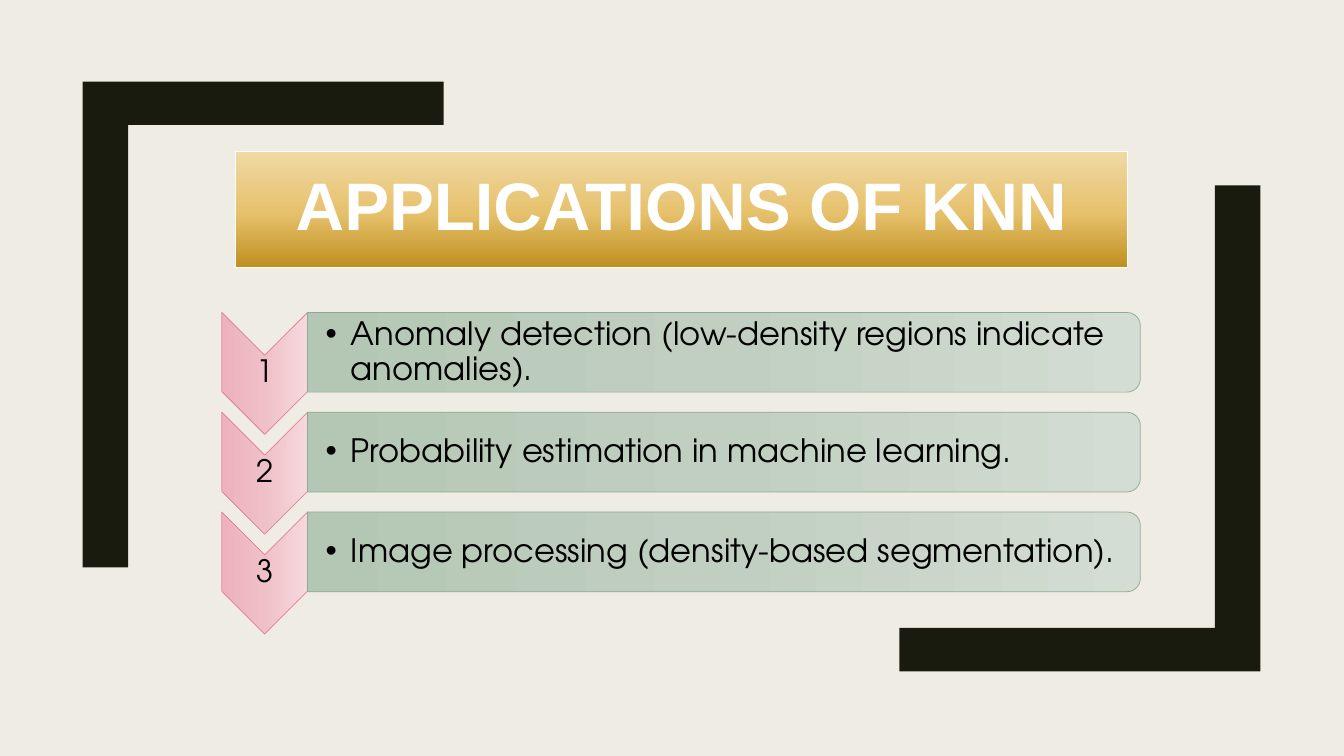
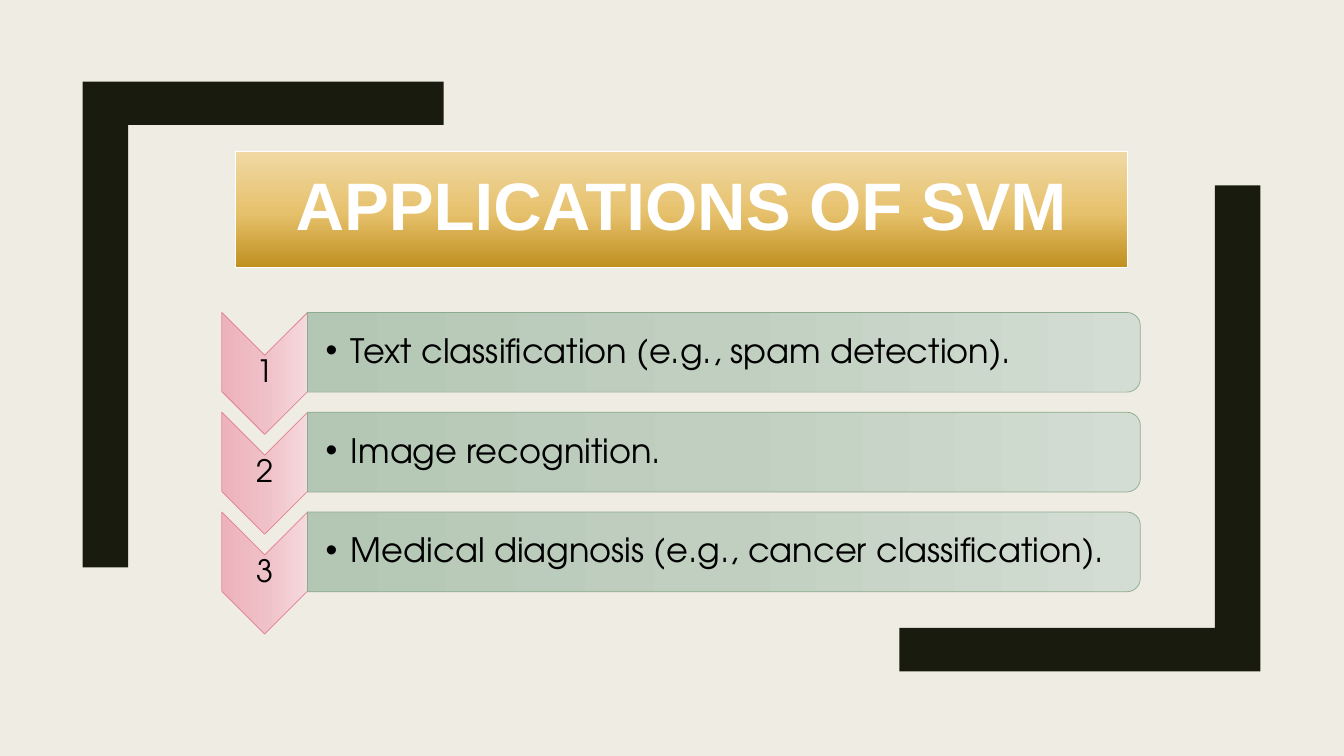
from copy import deepcopy

from lxml.etree import SubElement
from pptx import Presentation
from pptx.dml.color import RGBColor
from pptx.enum.shapes import MSO_SHAPE as SHAPE
from pptx.enum.text import MSO_ANCHOR as ANCHOR, MSO_AUTO_SIZE as AUTOSIZE, PP_ALIGN as ALIGN
from pptx.oxml.ns import qn
from pptx.util import Inches, Pt

PAPER = RGBColor(0xEF, 0xED, 0xE3)
INK = RGBColor(0x19, 0x1B, 0x0E)
WHITE = RGBColor(0xFF, 0xFF, 0xFF)
BLACK = RGBColor(0x00, 0x00, 0x00)
ROSE_LINE = RGBColor(0xE2, 0x83, 0x94)
SAGE_LINE = RGBColor(0x8D, 0xAB, 0x8E)
GOLD = [(0, RGBColor(0xC0, 0x90, 0x20)), (0.48, RGBColor(0xE7, 0xC2, 0x6E)),
        (1, RGBColor(0xF0, 0xD9, 0xA5))]
ROSE = [(0, RGBColor(0xF6, 0xD9, 0xDD)), (0.5, RGBColor(0xEF, 0xC0, 0xC7)),
        (1, RGBColor(0xEE, 0xB2, 0xBB))]
SAGE = [(0, RGBColor(0xD3, 0xDD, 0xD3)), (0.5, RGBColor(0xC0, 0xCF, 0xC0)),
        (1, RGBColor(0xB4, 0xC7, 0xB5))]

TITLE_FONT, LIST_FONT = "Arial", "TeX Gyre Adventor"
SLIDE_W, SLIDE_H = 13.33, 7.5
TITLE_BOX = (2.34, 1.5, 8.84, 1.15)
BRACKETS = [(12.5, 6.66, -1), (0.82, 0.81, 1)]
ARM_W, ARM_H, BAR_W, BAR_H = 3.58, 4.82, 0.45, 0.43
LIST_LEFT, LIST_TOP, ROW_PITCH = 2.2, 3.1, 0.99
CHEVRON_W, CHEVRON_H = 0.85, 1.21
ITEM_W, ITEM_H = 8.26, 0.79
NUMBER_H, TEXT_MARGIN = 0.36, 0.04

SLIDES = [
    ("APPLICATIONS OF KNN", 23, [
        "Anomaly detection (low-density regions indicate anomalies).",
        "Probability estimation in machine learning.",
        "Image processing (density-based segmentation)."]),
    ("APPLICATIONS OF SVM", 24, [
        "Text classification (e.g., spam detection).",
        "Image recognition.",
        "Medical diagnosis (e.g., cancer classification)."]),
]


def fill_gradient(shape, stops, angle):
    """Fill a shape with a three-stop linear gradient."""
    shape.fill.gradient()
    shape.fill.gradient_angle = angle
    stop_list = next(shape.element.iter(qn("a:gsLst")))
    stop_list.append(deepcopy(stop_list[-1]))
    for stop, (position, color) in zip(shape.fill.gradient_stops, stops):
        stop.position = position
        stop.color.rgb = color


def set_line(shape, color, width):
    """Give a shape a solid outline."""
    shape.line.color.rgb = color
    shape.line.width = Pt(width)


def style_text(paragraph, font, size, color, spacing, bold=False):
    """Format the only run of a paragraph and its line spacing."""
    paragraph.line_spacing = spacing
    run_font = paragraph.runs[0].font
    run_font.name, run_font.size, run_font.bold = font, Pt(size), bold
    run_font.color.rgb = color


def add_bracket(slide, x, y, direction):
    """Draw an L-shaped corner bracket from its outer corner."""
    outline = [(0, 0), (ARM_W, 0), (ARM_W, BAR_H), (BAR_W, BAR_H), (BAR_W, ARM_H), (0, ARM_H)]
    points = [(Inches(x + direction * dx), Inches(y + direction * dy)) for dx, dy in outline]
    builder = slide.shapes.build_freeform(*points[0])
    builder.add_line_segments(points[1:], close=True)
    bracket = builder.convert_to_shape()
    bracket.shadow.inherit = False
    bracket.fill.solid()
    bracket.fill.fore_color.rgb = INK
    bracket.line.fill.background()
    return bracket


def add_turned(slide, preset, left, top, width, height, stops, line_color):
    """Add a preset turned by 90 degrees that covers the given box."""
    frame_left = left + (width - height) / 2
    frame_top = top + (height - width) / 2
    turned = slide.shapes.add_shape(
        preset, *map(Inches, (frame_left, frame_top, height, width)))
    turned.rotation = 90
    turned.shadow.inherit = False
    fill_gradient(turned, stops, 270)
    set_line(turned, line_color, 0.5)


def add_label(slide, text, left, top, width, height, size, anchor):
    """Add a one-paragraph text box with narrow margins."""
    label = slide.shapes.add_textbox(*map(Inches, (left, top, width, height)))
    frame = label.text_frame
    frame.word_wrap = True
    frame.vertical_anchor = anchor
    frame.margin_left = frame.margin_right = Inches(0.02)
    frame.margin_top = frame.margin_bottom = Inches(0.02)
    frame.text = text
    style_text(frame.paragraphs[0], LIST_FONT, size, BLACK, 0.9)
    return frame


def add_bullet(paragraph):
    """Give a paragraph a round bullet with a hanging indent."""
    properties = paragraph._p.get_or_add_pPr()
    properties.set("marL", str(Inches(0.25)))
    properties.set("indent", str(-Inches(0.25)))
    SubElement(properties, qn("a:buFont"), typeface="Arial")
    SubElement(properties, qn("a:buChar"), char="•")


def add_row(slide, index, text, size):
    """Add a numbered chevron and its bar of text."""
    top = LIST_TOP + index * ROW_PITCH
    item_left = LIST_LEFT + CHEVRON_W
    add_turned(slide, SHAPE.CHEVRON, LIST_LEFT, top, CHEVRON_W, CHEVRON_H, ROSE, ROSE_LINE)
    number = add_label(slide, str(index + 1), LIST_LEFT, top + CHEVRON_W / 2,
                       CHEVRON_W, NUMBER_H, 22, ANCHOR.BOTTOM)
    number.paragraphs[0].alignment = ALIGN.CENTER
    add_turned(slide, SHAPE.ROUND_2_SAME_RECTANGLE, item_left, top, ITEM_W, ITEM_H,
               SAGE, SAGE_LINE)
    item = add_label(slide, text, item_left, top + TEXT_MARGIN, ITEM_W - TEXT_MARGIN,
                     ITEM_H - 2 * TEXT_MARGIN, size, ANCHOR.MIDDLE)
    item.margin_left = Inches(0.18)
    add_bullet(item.paragraphs[0])


def set_title(slide, text):
    """Place the title on its golden band."""
    title = slide.shapes.title
    title.left, title.top, title.width, title.height = map(Inches, TITLE_BOX)
    fill_gradient(title, GOLD, 90)
    set_line(title, WHITE, 0.75)
    frame = title.text_frame
    frame.auto_size = AUTOSIZE.NONE
    frame.vertical_anchor = ANCHOR.MIDDLE
    frame.text = text
    frame.paragraphs[0].alignment = ALIGN.CENTER
    style_text(frame.paragraphs[0], TITLE_FONT, 48, WHITE, 0.89, bold=True)


def prepare_layout(deck):
    """Return the title layout with only its title, on a paper background."""
    background = deck.slide_master.background.fill
    background.solid()
    background.fore_color.rgb = PAPER
    layout = deck.slide_layouts[5]
    for footer in list(layout.placeholders)[1:]:
        layout.shapes.element.remove(footer.element)
    return layout


def main():
    """Build the deck and save it."""
    deck = Presentation()
    deck.slide_width, deck.slide_height = Inches(SLIDE_W), Inches(SLIDE_H)
    layout = prepare_layout(deck)
    slides = [deck.slides.add_slide(layout) for _ in SLIDES]
    brackets = [add_bracket(slides[0], *corner) for corner in BRACKETS]
    for bracket in brackets:
        layout.shapes.element.append(bracket.element)
    for slide, (title, size, items) in zip(slides, SLIDES):
        set_title(slide, title)
        for index, text in enumerate(items):
            add_row(slide, index, text, size)
    deck.save("out.pptx")


if __name__ == "__main__":
    main()
